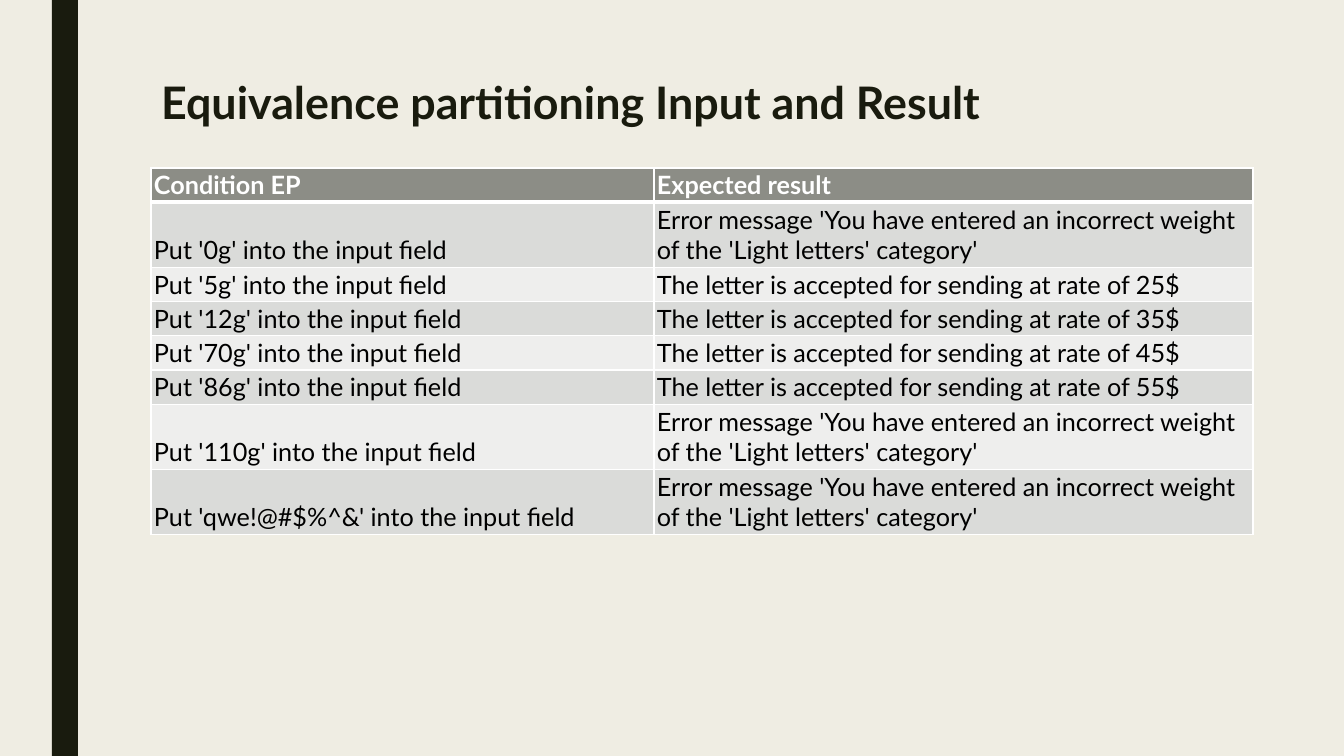
from dataclasses import dataclass

from lxml import etree
from pptx import Presentation
from pptx.dml.color import RGBColor
from pptx.enum.shapes import MSO_SHAPE
from pptx.enum.text import MSO_ANCHOR, MSO_AUTO_SIZE, PP_ALIGN
from pptx.oxml.ns import qn
from pptx.util import Emu, Pt

RECTANGLE = MSO_SHAPE.RECTANGLE
TOP, BOTTOM = MSO_ANCHOR.TOP, MSO_ANCHOR.BOTTOM
LEFT = PP_ALIGN.LEFT
NO_AUTOFIT = MSO_AUTO_SIZE.NONE

EMU_PER_PX = 914400 / 100.8
TITLE_ONLY = 5
FONT = "Lato"
COLORS = {
    "page": "EFEDE3",
    "dark": "191B0E",
    "header": "8C8D86",
    "odd": "DADBD9",
    "even": "EEEEED",
    "white": "FFFFFF",
    "black": "000000",
}
COLUMN_WIDTHS = (503, 599)
SINGLE_LINE, DOUBLE_LINE = 34, 65
THIN, THICK = 1, 3
ERROR = "Error message 'You have entered an incorrect weight of the 'Light letters' category'"


@dataclass(frozen=True)
class Case:
    entry: str
    result: str
    height: int = SINGLE_LINE


def rejected(entry: str) -> Case:
    return Case(f"Put '{entry}' into the input field", ERROR, DOUBLE_LINE)


def accepted(entry: str, rate: int) -> Case:
    return Case(
        f"Put '{entry}' into the input field",
        f"The letter is accepted for sending at rate of {rate}$",
    )


CASES = (
    Case("Condition EP", "Expected result"),
    rejected("0g"),
    accepted("5g", 25),
    accepted("12g", 35),
    accepted("70g", 45),
    accepted("86g", 55),
    rejected("110g"),
    rejected("qwe!@#$%^&"),
)


def px(length: int) -> Emu:
    return Emu(round(length * EMU_PER_PX))


def rgb(name: str) -> RGBColor:
    return RGBColor.from_string(COLORS[name])


def add_span(para, text: str, size: int, color: str, bold: bool) -> None:
    span = para.add_run()
    span.text = text
    span.font.name = FONT
    span.font.size = Pt(size)
    span.font.bold = bold
    span.font.color.rgb = rgb(color)


def add_side_bar(page) -> None:
    bar = page.shapes.add_shape(RECTANGLE, px(52), px(0), px(26), px(756))
    bar.shadow.inherit = False
    bar.fill.solid()
    bar.fill.fore_color.rgb = rgb("dark")
    bar.line.fill.background()


def format_title(page, text: str) -> None:
    title = page.shapes.title
    title.left, title.top, title.width, title.height = px(151), px(76), px(1058), px(86)
    frame = title.text_frame
    frame.word_wrap = True
    frame.auto_size = NO_AUTOFIT
    frame.vertical_anchor = TOP
    para = frame.paragraphs[0]
    para.alignment = LEFT
    para.line_spacing = 0.89
    add_span(para, text, 32, "dark", True)


def add_border(cell, side: str, width: int) -> None:
    properties = cell._tc.get_or_add_tcPr()
    line = etree.SubElement(properties, qn(f"a:ln{side}"), w=str(Pt(width)))
    fill = etree.SubElement(line, qn("a:solidFill"))
    etree.SubElement(fill, qn("a:srgbClr"), val=COLORS["white"])


def format_cell(cell, text: str, row: int) -> None:
    is_header = row == 0
    widths = {
        "L": THIN,
        "R": THIN,
        "T": THICK if row == 1 else THIN,
        "B": THICK if is_header else THIN,
    }
    for side, width in widths.items():
        add_border(cell, side, width)
    cell.fill.solid()
    cell.fill.fore_color.rgb = rgb("header" if is_header else "odd" if row % 2 else "even")
    cell.margin_left = cell.margin_right = px(3)
    cell.margin_top = cell.margin_bottom = px(2)
    cell.vertical_anchor = BOTTOM
    add_span(
        cell.text_frame.paragraphs[0], text, 18, "white" if is_header else "black", is_header
    )


def add_case_table(page) -> None:
    height = sum(case.height for case in CASES)
    frame = page.shapes.add_table(
        len(CASES), len(COLUMN_WIDTHS), px(151), px(168), px(sum(COLUMN_WIDTHS)), px(height)
    )
    table = frame.table
    for column, width in zip(table.columns, COLUMN_WIDTHS):
        column.width = px(width)
    for row, case in enumerate(CASES):
        table.rows[row].height = px(case.height)
        for column, text in enumerate((case.entry, case.result)):
            format_cell(table.cell(row, column), text, row)


def main() -> None:
    deck = Presentation()
    deck.slide_width, deck.slide_height = px(1344), px(756)
    page = deck.slides.add_slide(deck.slide_layouts[TITLE_ONLY])
    page.background.fill.solid()
    page.background.fill.fore_color.rgb = rgb("page")
    add_side_bar(page)
    format_title(page, "Equivalence partitioning Input and Result")
    add_case_table(page)
    deck.save("out.pptx")


if __name__ == "__main__":
    main()
